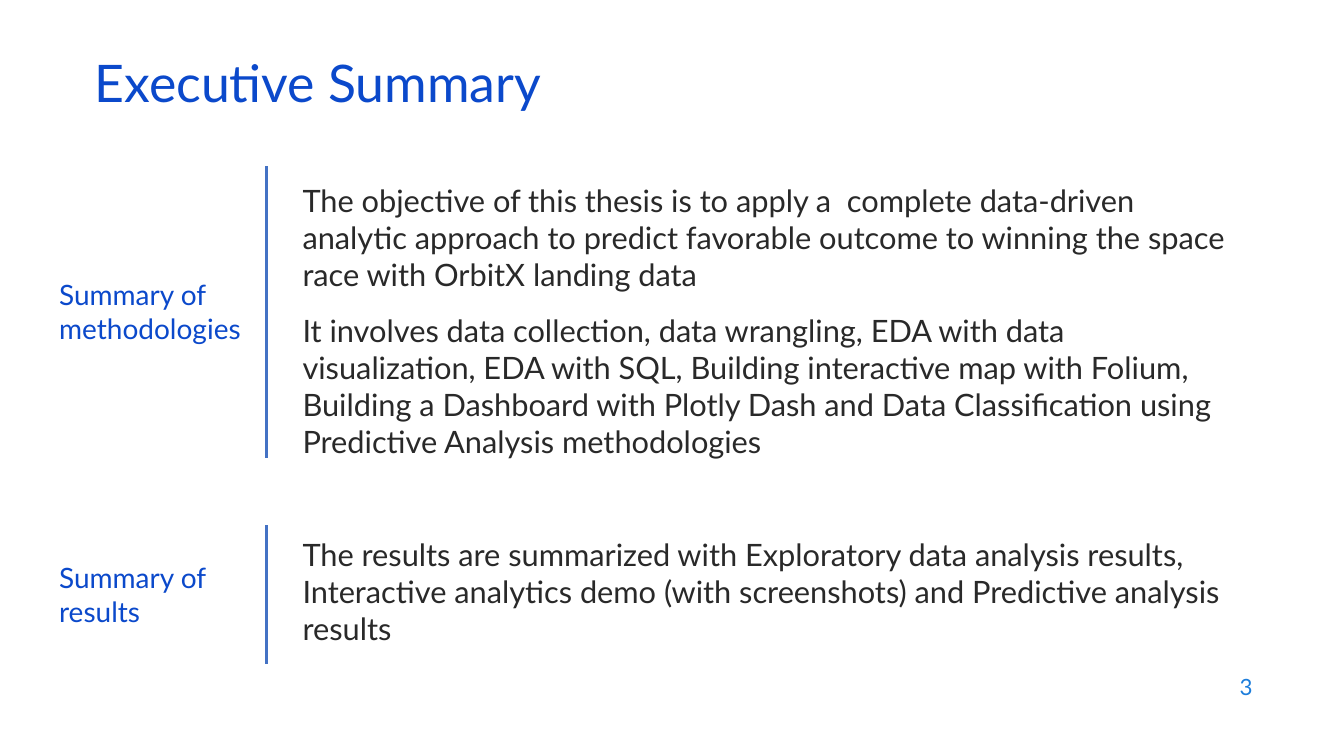
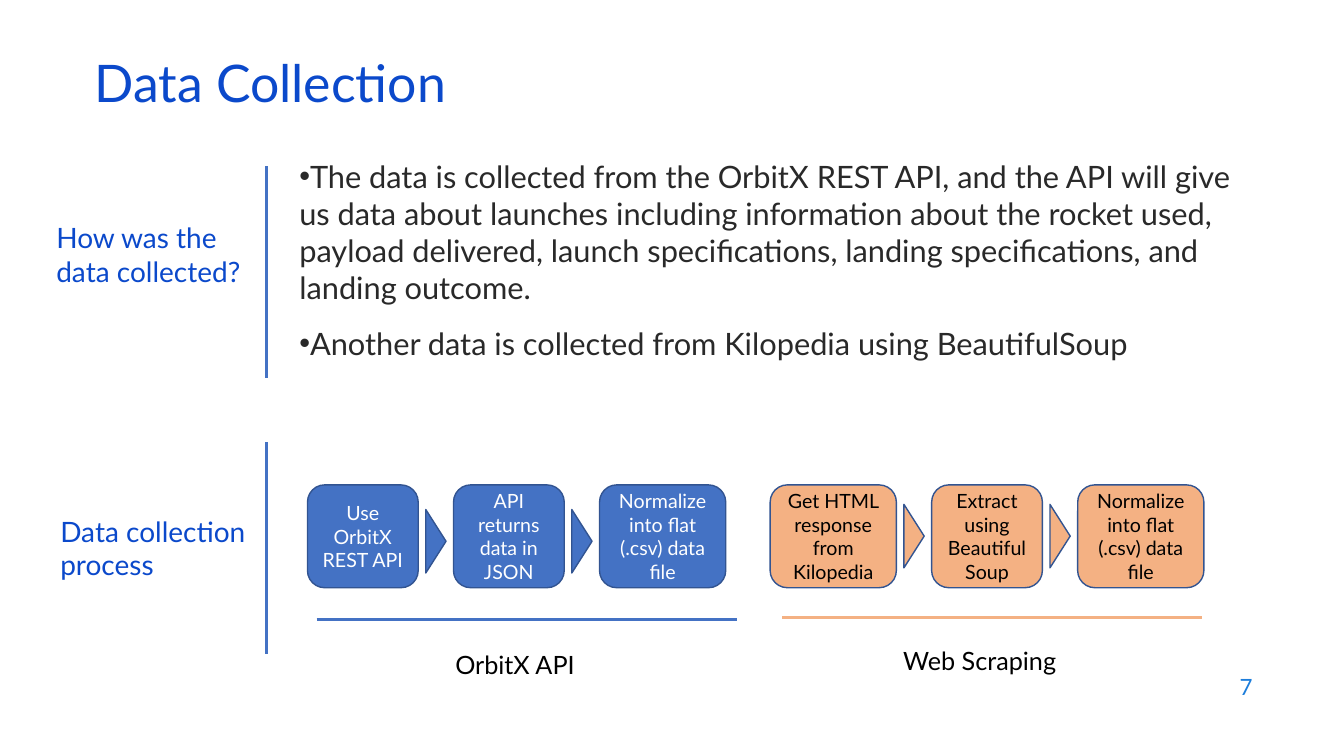
from lxml import etree
from pptx import Presentation
from pptx.dml.color import RGBColor
from pptx.enum.shapes import MSO_CONNECTOR, MSO_SHAPE as SHAPE
from pptx.enum.text import MSO_ANCHOR as ANCHOR, MSO_AUTO_SIZE as AUTO, PP_ALIGN as ALIGN
from pptx.oxml.ns import qn
from pptx.util import Cm, Pt

COLORS = {
    "title": "0B49CB", "page": "1C7DDB", "body": "292929", "blue": "4472C4",
    "outline": "325491", "orange": "F4B183", "white": "FFFFFF", "black": "000000",
}
FORMATS = {
    "title": {"size": 37, "color": "title", "line_spacing": 0.7, "alignment": ALIGN.LEFT},
    "body": {"size": 22, "color": "body", "alignment": ALIGN.LEFT},
    "label": {"size": 20, "color": "title"},
    "caption": {"size": 18, "color": "black", "alignment": ALIGN.CENTER},
    "step": {"size": 14, "alignment": ALIGN.CENTER},
    "page": {"size": 16, "color": "page", "alignment": ALIGN.RIGHT},
}
FONT = "Lato"
DIVIDER_X = 6.71
LABEL_W, LABEL_H = 5.26, 1.96
CAPTION_W, CAPTION_H = 7.52, 1.02
STEP_TOP, STEP_H, STEP_GAP = 12.22, 2.59, 0.89
ARROW_W, ARROW_H = 1.6, 0.51
RULE_LENGTH = 10.59


def rgb(name):
    return RGBColor.from_string(COLORS[name])


class Deck:
    def __init__(self):
        self.prs = Presentation()
        self.prs.slide_width, self.prs.slide_height = Cm(33.87), Cm(19.05)
        self.s = None

    def add_text(self, p, text, style, **changes):
        """Put text in a paragraph with a named format."""
        values = {**FORMATS[style], **changes}
        r = p.add_run()
        r.text = text
        r.font.name = FONT
        r.font.size = Pt(values.pop("size"))
        r.font.color.rgb = rgb(values.pop("color"))
        for name, value in values.items():
            setattr(p, name, value)

    def place(self, sp, left, top, width, height):
        for name, value in zip(("left", "top", "width", "height"), (left, top, width, height)):
            setattr(sp, name, Cm(value))

    def frame(self, sp, anchor):
        tf = sp.text_frame
        for name, value in {"word_wrap": True, "auto_size": AUTO.NONE,
                            "vertical_anchor": anchor}.items():
            setattr(tf, name, value)
        return tf

    def slide(self, title, page):
        self.s = self.prs.slides.add_slide(self.prs.slide_layouts[1])
        sp = self.s.shapes.title
        self.place(sp, 2.13, 1.5, 29.21, 1.52)
        self.add_text(self.frame(sp, ANCHOR.MIDDLE).paragraphs[0], title, "title")
        self.text(page, "page", 24.2, 16.74, 7.62, 1.12, ANCHOR.MIDDLE)

    def text(self, text, style, left, top, width, height, anchor=ANCHOR.TOP):
        sp = self.s.shapes.add_textbox(Cm(left), Cm(top), Cm(width), Cm(height))
        self.add_text(self.frame(sp, anchor).paragraphs[0], text, style)

    def body(self, items, left, top, width, height, bullet=None):
        """Fill the body placeholder from (text, space before) pairs."""
        sp = self.s.placeholders[1]
        self.place(sp, left, top, width, height)
        tf = self.frame(sp, ANCHOR.TOP)
        for i, (text, space) in enumerate(items):
            p = tf.add_paragraph() if i else tf.paragraphs[0]
            pPr = p._p.get_or_add_pPr()
            pPr.set("marL", "0")
            pPr.set("indent", "0")
            if bullet:
                etree.SubElement(pPr, qn("a:buChar")).set("char", bullet)
            else:
                etree.SubElement(pPr, qn("a:buNone"))
            self.add_text(p, text, "body", space_before=Pt(space))

    def line(self, x1, y1, x2, y2, color="blue"):
        c = self.s.shapes.add_connector(MSO_CONNECTOR.STRAIGHT, Cm(x1), Cm(y1), Cm(x2), Cm(y2))
        c.line.color.rgb = rgb(color)
        c.line.width = Pt(2.25)
        etree.SubElement(c._element.spPr, qn("a:effectLst"))

    def section(self, label, left, top, line_top, line_bottom):
        """Side label with the vertical divider on its right."""
        self.text(label, "label", left, top, LABEL_W, LABEL_H)
        self.line(DIVIDER_X, line_top, DIVIDER_X, line_bottom)

    def shape(self, kind, left, top, width, height, fill):
        sp = self.s.shapes.add_shape(kind, Cm(left), Cm(top), Cm(width), Cm(height))
        sp.shadow.inherit = False
        sp.fill.solid()
        sp.fill.fore_color.rgb = rgb(fill)
        sp.line.color.rgb = rgb("outline")
        sp.line.width = Pt(1)
        return sp

    def flow(self, steps, left, fill, color, arrow_y):
        """Row of (text, width) boxes with an arrowhead centred in each gap."""
        for i, (text, width) in enumerate(steps):
            if i:
                arrow = self.shape(SHAPE.ISOSCELES_TRIANGLE, left - (STEP_GAP + ARROW_W) / 2,
                                   arrow_y - ARROW_H / 2, ARROW_W, ARROW_H, fill)
                arrow.rotation = 90
            sp = self.shape(SHAPE.ROUNDED_RECTANGLE, left, STEP_TOP, width, STEP_H, fill)
            self.add_text(self.frame(sp, ANCHOR.MIDDLE).paragraphs[0], text, "step", color=color)
            left += width + STEP_GAP

    def group_caption(self, text, left, top, rule_left, rule_y, color):
        self.line(rule_left, rule_y, rule_left + RULE_LENGTH, rule_y, color)
        self.text(text, "caption", left, top, CAPTION_W, CAPTION_H)


def executive_summary(deck):
    deck.slide("Executive Summary", "3")
    deck.body([
        ("The objective of this thesis is to apply a  complete data-driven analytic approach to "
         "predict favorable outcome to winning the space race with OrbitX landing data", 0),
        ("It involves data collection, data wrangling, EDA with data visualization, EDA with SQL, "
         "Building interactive map with Folium, Building a Dashboard with Plotly Dash and Data "
         "Classification using Predictive Analysis methodologies", 14),
        ("The results are summarized with Exploratory data analysis results, Interactive "
         "analytics demo (with screenshots) and Predictive analysis results", 54.4),
    ], 7.37, 4.45, 23.98, 12.7)
    deck.section("Summary of methodologies", 1.24, 6.88, 4.19, 11.53)
    deck.section("Summary of results", 1.24, 14, 13.23, 16.74)


def data_collection(deck):
    deck.slide("Data Collection", "7")
    deck.body([
        ("The data is collected from the OrbitX REST API, and the API will give us data about "
         "launches including information about the rocket used, payload delivered, launch "
         "specifications, landing specifications, and landing outcome.", 0),
        ("Another data is collected from Kilopedia using BeautifulSoup", 14),
    ], 7.29, 3.84, 24.05, 6.05, bullet="•")
    deck.section("How was the data collected?", 1.17, 5.44, 4.19, 9.53)
    deck.section("Data collection process", 1.27, 12.83, 11.15, 16.48)

    narrow, wide = 2.79, 3.18
    normalize = ("Normalize into flat (.csv) data file", wide)
    deck.flow([("Use OrbitX REST API", narrow), ("API returns data in JSON", narrow), normalize],
              7.75, "blue", "white", 13.64)
    deck.flow([("Get HTML response from Kilopedia", wide), ("Extract using BeautifulSoup", narrow),
               normalize], 19.41, "orange", "black", 13.51)
    deck.group_caption("OrbitX API", 9.22, 16.23, 7.98, 15.6, "blue")
    deck.group_caption("Web Scraping", 20.93, 16.13, 19.71, 15.57, "orange")


def main():
    deck = Deck()
    executive_summary(deck)
    data_collection(deck)
    deck.prs.save("out.pptx")


if __name__ == "__main__":
    main()
